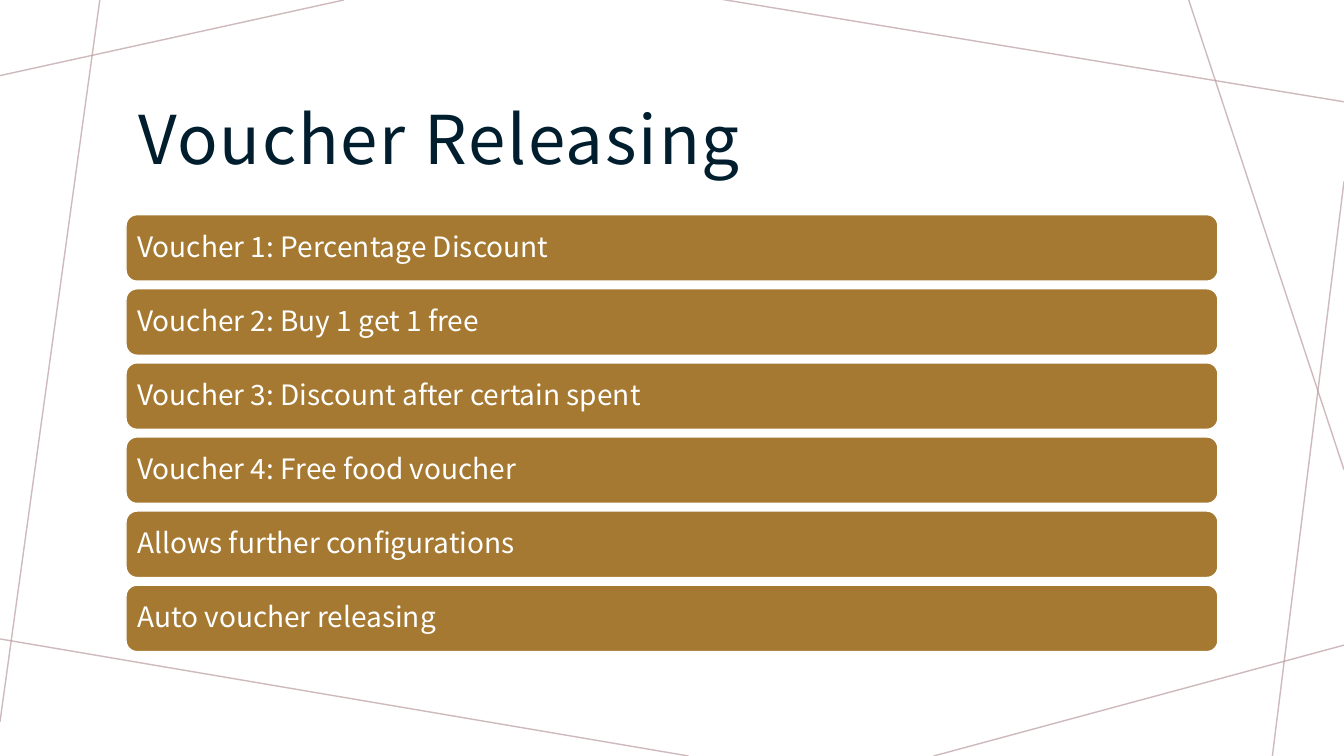
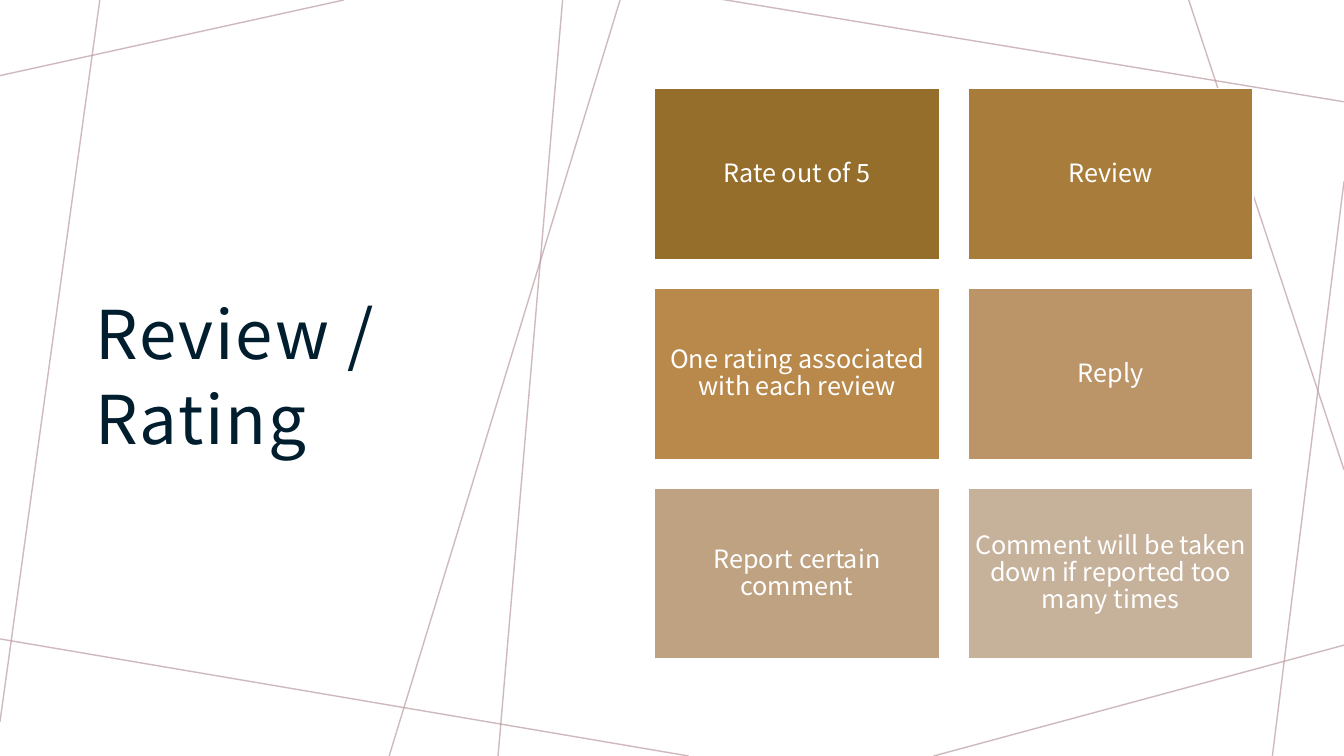
from typing import NamedTuple

from lxml.etree import SubElement
from pptx import Presentation
from pptx.dml.color import RGBColor
from pptx.enum.shapes import MSO_CONNECTOR as Link, MSO_SHAPE as Form
from pptx.enum.text import MSO_ANCHOR as Anchor, PP_ALIGN as Align
from pptx.oxml.ns import qn
from pptx.util import Inches, Pt

FONT = "Noto Sans CJK SC"
INK = RGBColor(0x00, 0x1E, 0x2E)
WHITE = RGBColor(0xFF, 0xFF, 0xFF)
MAUVE = RGBColor(0xBA, 0x9C, 0xA0)
GOLD = RGBColor(0xA5, 0x79, 0x31)
TILE_FILLS = [
    RGBColor(0x96, 0x6E, 0x2C), RGBColor(0xA8, 0x7C, 0x3A),
    RGBColor(0xB8, 0x89, 0x4A), RGBColor(0xBB, 0x95, 0x67),
    RGBColor(0xBF, 0xA2, 0x82), RGBColor(0xC6, 0xB1, 0x9B),
]


class Box(NamedTuple):
    left: float
    top: float
    width: float
    height: float


class Line(NamedTuple):
    x1: float
    y1: float
    x2: float
    y2: float


class Style(NamedTuple):
    size: int
    color: RGBColor
    align: Align
    lead: float
    pads: tuple[float, float, float, float]
    track: int = 0


TITLE = Style(48, INK, Align.LEFT, 1.05, (0.12, 0.12, 0.12, 0.1), 130)
BAR = Style(20, WHITE, Align.LEFT, 0.9, (0.08,) * 4)
TILE = Style(18, WHITE, Align.CENTER, 0.9, (0.07,) * 4)

FRAME_LINES = [
    Line(3.41, 0, 0, 0.75),
    Line(0.99, 0, 0, 7.16),
    Line(6.83, 7.5, -0.05, 6.33),
    Line(13.33, 6.4, 9.26, 7.5),
    Line(13.33, 1.8, 12.62, 7.5),
    Line(13.33, 4.66, 11.79, 0),
    Line(13.33, 1.01, 7.14, -0.01),
]
SPLIT_LINES = [Line(6.15, 0, 3.86, 7.5), Line(5.58, 0, 4.94, 7.5)]

VOUCHERS = [
    "Voucher 1: Percentage Discount",
    "Voucher 2: Buy 1 get 1 free",
    "Voucher 3: Discount after certain spent",
    "Voucher 4: Free food voucher",
    "Allows further configurations",
    "Auto voucher releasing",
]
REVIEWS = [
    "Rate out of 5",
    "Review",
    "One rating associated with each review",
    "Reply",
    "Report certain comment",
    "Comment will be taken down if reported too many times",
]


def apply(target, values: dict) -> None:
    for name, value in values.items():
        setattr(target, name, value)


def write(frame, text: str, style: Style) -> None:
    left, top, right, bottom = map(Inches, style.pads)
    apply(frame, {
        "word_wrap": True, "vertical_anchor": Anchor.MIDDLE,
        "margin_left": left, "margin_top": top,
        "margin_right": right, "margin_bottom": bottom,
    })
    para = frame.paragraphs[0]
    apply(para, {"alignment": style.align, "line_spacing": style.lead})
    run = para.add_run()
    run.text = text
    apply(run.font, {"name": FONT, "size": Pt(style.size)})
    run.font.color.rgb = style.color
    if style.track:
        run._r.get_or_add_rPr().set("spc", str(style.track))


def add_title(slide, text: str, box: Box) -> None:
    area = slide.shapes.add_textbox(*map(Inches, box))
    write(area.text_frame, text, TITLE)


def add_card(slide, form: Form, box: Box, fill: RGBColor,
             text: str, style: Style) -> None:
    card = slide.shapes.add_shape(form, *map(Inches, box))
    card.shadow.inherit = False
    card.fill.solid()
    card.fill.fore_color.rgb = fill
    card.line.color.rgb = WHITE
    card.line.width = Pt(1)
    write(card.text_frame, text, style)


def add_line(slide, line: Line):
    link = slide.shapes.add_connector(Link.STRAIGHT, *map(Inches, line))
    link.line.color.rgb = MAUVE
    link.line.width = Pt(1)
    props = link.element.spPr
    tint = props.find(".//" + qn("a:srgbClr"))
    SubElement(tint, qn("a:alpha"), val="70000")
    SubElement(props, qn("a:effectLst"))
    return link


def share_lines(slide, layout) -> None:
    """Move the frame lines to the layout, so that every slide shows them."""
    for num, line in enumerate(FRAME_LINES, start=20):
        item = add_line(slide, line).element
        item.find(".//" + qn("p:cNvPr")).set("id", str(num))
        layout.shapes.element.append(item)


def fill_vouchers(slide) -> None:
    add_title(slide, "Voucher Releasing", Box(1.25, 0.58, 10.83, 1.51))
    step = 0.735
    for row, text in enumerate(VOUCHERS):
        box = Box(1.25, 2.13 + row * step, 10.83, 0.66)
        add_card(slide, Form.ROUNDED_RECTANGLE, box, GOLD, text, BAR)


def fill_reviews(slide) -> None:
    add_title(slide, "Review / Rating", Box(0.83, 0.99, 4.07, 5.4))
    for line in SPLIT_LINES:
        add_line(slide, line)
    wide, high, gap = 2.83, 1.7, 0.28
    for num, (text, fill) in enumerate(zip(REVIEWS, TILE_FILLS)):
        row, col = divmod(num, 2)
        box = Box(6.49 + col * (wide + gap), 0.88 + row * (high + gap),
                  wide, high)
        add_card(slide, Form.RECTANGLE, box, fill, text, TILE)


def main() -> None:
    deck = Presentation()
    deck.slide_width, deck.slide_height = Inches(13.33), Inches(7.5)
    blank = deck.slide_layouts[6]
    first, second = (deck.slides.add_slide(blank) for _ in range(2))
    share_lines(first, blank)
    fill_vouchers(first)
    fill_reviews(second)
    deck.save("out.pptx")


if __name__ == "__main__":
    main()
